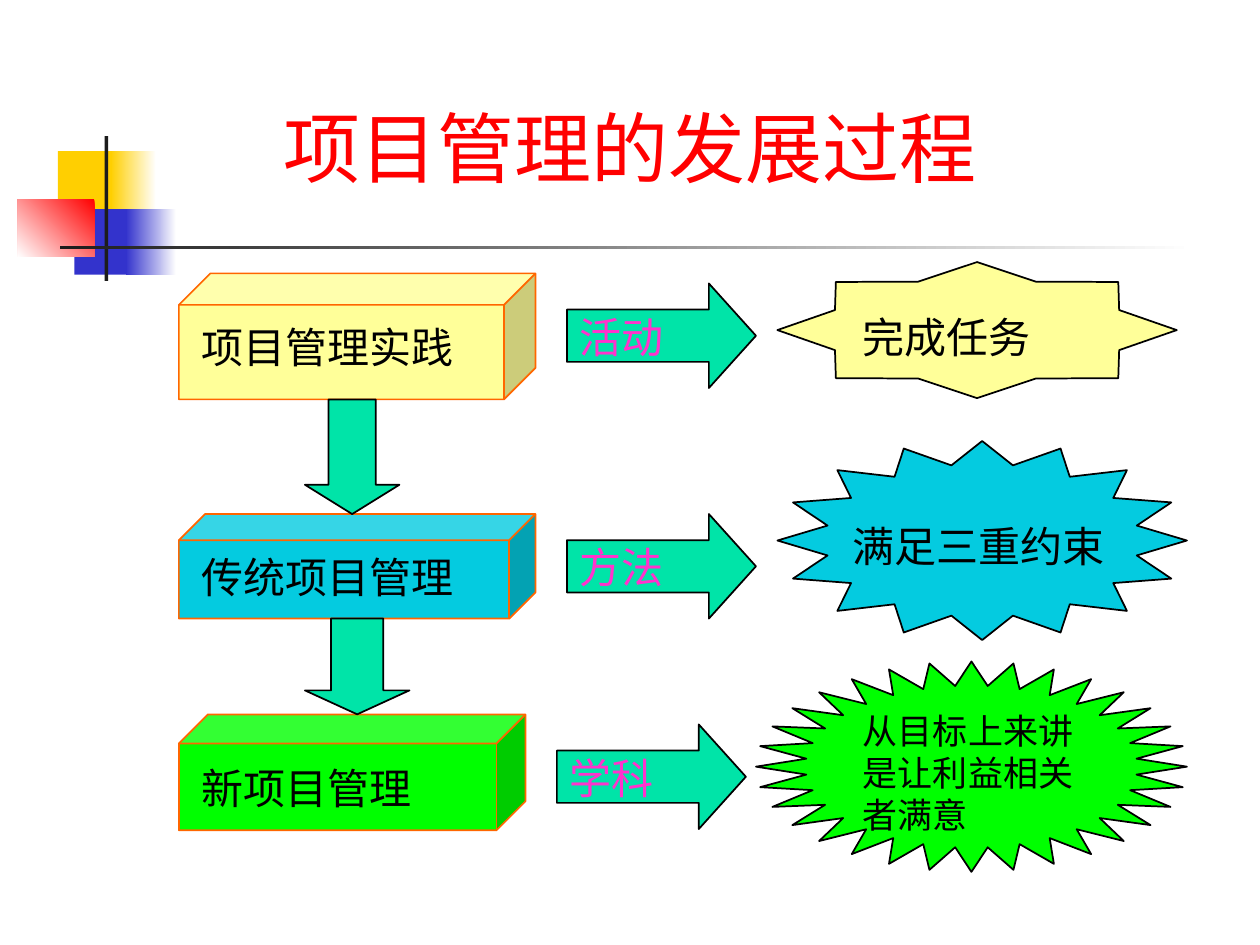
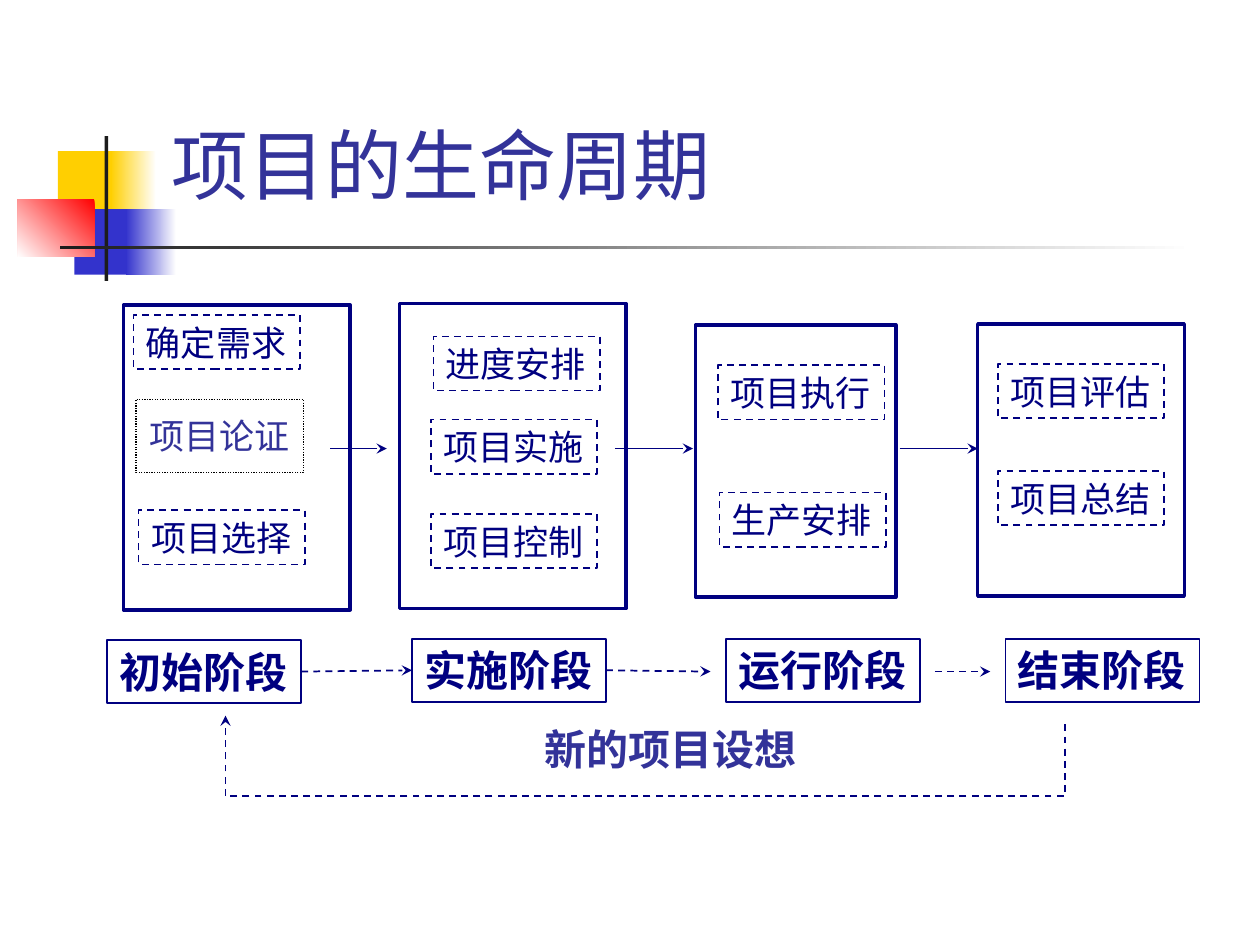
from dataclasses import dataclass
from math import cos, pi, sin

from pptx import Presentation
from pptx.dml.color import RGBColor
from pptx.enum.dml import MSO_LINE
from pptx.enum.shapes import MSO_CONNECTOR, MSO_SHAPE as Shape
from pptx.enum.text import MSO_ANCHOR as Anchor, MSO_AUTO_SIZE, PP_ALIGN as Align
from pptx.oxml.ns import qn
from pptx.util import Emu, Pt
from lxml.etree import SubElement

PX = 9144


@dataclass(frozen=True)
class Theme:
    """Colours, fonts and type sizes of the deck."""
    white: str = "FFFFFF"
    black: str = "000000"
    ink: str = "1C1C1C"
    gold: str = "FFCF01"
    blue: str = "3333CC"
    red: str = "FF0000"
    indigo: str = "333399"
    navy: str = "000080"
    cream: str = "FFFF99"
    cyan: str = "04CBE0"
    green: str = "00FF00"
    mint: str = "00E4A8"
    orange: str = "FF6600"
    pink: str = "FF33CC"
    heading: str = "Lato"
    body: str = "Times New Roman"
    title_size: int = 44
    label_size: int = 24
    task_size: int = 20


THEME = Theme()


@dataclass(frozen=True)
class Box:
    """A rectangle in px."""
    left: int
    top: int
    width: int
    height: int

    def inset(self, across, down, width, height):
        """Return a box offset from this one's top left corner."""
        return Box(self.left + across, self.top + down, width, height)

    def emu(self):
        """Return the four lengths in EMU."""
        return [Emu(n * PX) for n in (self.left, self.top, self.width, self.height)]


@dataclass(frozen=True)
class Step:
    """One row of the development chart."""
    name: str
    fill: str
    cube: Box
    name_drop: int
    method: str
    arrow: Box
    goal: str
    goal_size: int
    goal_box: Box
    star: Box
    points: int


@dataclass(frozen=True)
class Phase:
    """One phase of the life cycle with its tasks."""
    name: str
    stage: Box
    panel: Box
    tasks: tuple


def rgb(colour):
    """Turn a hex string into a colour."""
    return RGBColor.from_string(colour)


def style_line(line, colour, width=1, dash=None):
    """Set colour, width and dash of a line."""
    line.color.rgb = rgb(colour)
    line.width = Pt(width)
    if dash:
        line.dash_style = dash


def style_shape(shape, fill=None, line=None, width=1, dash=None):
    """Set shadow, fill and outline of a shape."""
    shape.shadow.inherit = False
    if fill:
        shape.fill.solid()
        shape.fill.fore_color.rgb = rgb(fill)
    else:
        shape.fill.background()
    if line:
        style_line(shape.line, line, width, dash)
    else:
        shape.line.fill.background()


def add_preset(page, kind, box, adjust=(), **style):
    """Add a preset shape to the page."""
    shape = page.shapes.add_shape(kind, *box.emu())
    for index, value in enumerate(adjust):
        shape.adjustments[index] = value
    style_shape(shape, **style)
    return shape


def add_fade(page, box, start, end, angle):
    """Add a rectangle with a linear gradient."""
    shape = add_preset(page, Shape.RECTANGLE, box)
    shape.fill.gradient()
    shape.fill.gradient_angle = angle
    for stop, colour in zip(shape.fill.gradient_stops, (start, end)):
        stop.color.rgb = rgb(colour)


def write(shape, text, size=THEME.label_size, colour=THEME.black, font=THEME.body,
          bold=False, align=Align.LEFT, anchor=Anchor.TOP, wrap=True):
    """Write formatted text into a shape."""
    frame = shape.text_frame
    frame.word_wrap = wrap
    frame.auto_size = MSO_AUTO_SIZE.NONE
    frame.vertical_anchor = anchor
    para = frame.paragraphs[0]
    para.alignment = align
    span = para.add_run()
    span.text = text
    span.font.size = Pt(size)
    span.font.name = font
    span.font.bold = bold
    span.font.color.rgb = rgb(colour)


def add_text(page, box, text, **style):
    """Add a text box to the page."""
    write(page.shapes.add_textbox(*box.emu()), text, **style)


def add_outline(page, points, close, **style):
    """Add a freeform through points given in px."""
    corners = [(round(x * PX), round(y * PX)) for x, y in points]
    builder = page.shapes.build_freeform(*corners[0])
    builder.add_line_segments(corners[1:], close=close)
    shape = builder.convert_to_shape()
    style_shape(shape, **style)
    return shape


def add_star(page, box, points, fill, inner=0.77):
    """Add a star whose tips lie on the ellipse inside the box."""
    corners = []
    for index in range(2 * points):
        angle = pi + index * pi / points
        reach = inner if index % 2 else 1
        corners.append((box.left + box.width / 2 * (1 + reach * cos(angle)),
                        box.top + box.height / 2 * (1 + reach * sin(angle))))
    add_outline(page, corners, True, fill=fill, line=THEME.black)


def add_arrowhead(shape):
    """Put a stealth head at the end of a line."""
    outline = shape._element.spPr.find(qn("a:ln"))
    SubElement(outline, qn("a:tailEnd"), type="stealth")


def add_arrow(page, start, end, dash=None, source=None, target=None):
    """Add an arrow, joined to the sides of the given boxes."""
    arrow = page.shapes.add_connector(
        MSO_CONNECTOR.STRAIGHT, *[Emu(n * PX) for n in (*start, *end)])
    if source is not None:
        arrow.begin_connect(source, 3)
    if target is not None:
        arrow.end_connect(target, 1)
    style_line(arrow.line, THEME.navy, dash=dash)
    add_arrowhead(arrow)
    SubElement(arrow._element.spPr, qn("a:effectLst"))


def add_emblem(page, box):
    """Draw the coloured squares and the crossing rules."""
    for across, down, solid, fade_across, fade, colour in (
            (32, 12, 48, 74, 36, THEME.gold), (45, 58, 46, 86, 40, THEME.blue)):
        add_preset(page, Shape.RECTANGLE, box.inset(across, down, solid, 52), fill=colour)
        add_fade(page, box.inset(fade_across, down, fade, 52), THEME.white, colour, 180)
    add_fade(page, box.inset(0, 50, 61, 46), THEME.red, THEME.white, 225)
    add_preset(page, Shape.RECTANGLE, box.inset(69, 0, 3, 115), fill=THEME.ink)
    add_fade(page, box.inset(34, 87, 900, 3), THEME.white, THEME.ink, 180)


def add_page(deck, title, box, **style):
    """Add a page with the emblem and a title."""
    page = deck.slides.add_slide(deck.slide_layouts[6])
    add_emblem(page, Box(14, 108, 934, 115))
    add_text(page, box, title, size=THEME.title_size, font=THEME.heading, **style)
    return page


def add_step(page, step):
    """Draw a cube, its method arrow and its goal star."""
    add_preset(page, Shape.CUBE, step.cube, (0.25,), fill=step.fill, line=THEME.orange)
    add_text(page, step.cube.inset(8, step.name_drop, 242, 50), step.name)
    add_preset(page, Shape.RIGHT_ARROW, step.arrow, (0.5, 0.45),
               fill=THEME.mint, line=THEME.black)
    add_text(page, step.arrow.inset(0, 17, 117, 50), step.method, colour=THEME.pink)
    add_star(page, step.star, step.points, step.fill)
    add_text(page, step.goal_box, step.goal, size=step.goal_size)


def development_page(deck):
    """Build the page on how project management developed."""
    page = add_page(deck, "项目管理的发展过程", Box(75, 33, 850, 125), colour=THEME.red,
                    align=Align.CENTER, anchor=Anchor.BOTTOM)
    steps = (
        Step("项目管理实践", THEME.cream, Box(142, 217, 283, 100), 33,
             "活动", Box(450, 225, 150, 83),
             "完成任务", THEME.label_size, Box(675, 242, 208, 50), Box(617, 208, 317, 108), 8),
        Step("传统项目管理", THEME.cyan, Box(142, 408, 283, 83), 25,
             "方法", Box(450, 408, 150, 83),
             "满足三重约束", THEME.label_size, Box(667, 408, 250, 50), Box(617, 350, 325, 158), 16),
        Step("新项目管理", THEME.green, Box(142, 567, 275, 92), 33,
             "学科", Box(442, 575, 150, 83),
             "从目标上来讲是让利益相关者满意", THEME.task_size,
             Box(675, 558, 192, 110), Box(600, 525, 342, 167), 32),
    )
    for step in steps:
        add_step(page, step)
    for upper, lower, width, head in zip(steps, steps[1:], (75, 83), (0.31, 0.25)):
        bottom = upper.cube.top + upper.cube.height
        add_preset(page, Shape.DOWN_ARROW, Box(242, bottom, width, lower.cube.top - bottom),
                   (0.5, head), fill=THEME.mint, line=THEME.black)


def add_phase(page, phase):
    """Draw a panel with its tasks and return the stage box below."""
    add_preset(page, Shape.RECTANGLE, phase.panel, line=THEME.navy, width=2)
    for text, across, down in phase.tasks:
        task = add_preset(page, Shape.RECTANGLE, phase.panel.inset(across, down, 132, 43),
                          line=THEME.navy, dash=MSO_LINE.DASH)
        write(task, text, size=THEME.task_size, colour=THEME.navy, wrap=False)
    stage = add_preset(page, Shape.RECTANGLE, phase.stage, line=THEME.navy)
    write(stage, phase.name, colour=THEME.navy, bold=True, wrap=False)
    return stage


def add_feedback(page, box):
    """Draw the dashed return path and its caption."""
    right, bottom = box.left + box.width, box.top + box.height
    route = add_outline(
        page, [(right, box.top + 7), (right, bottom), (box.left, bottom), (box.left, box.top)],
        False, line=THEME.navy, dash=MSO_LINE.DASH)
    add_arrowhead(route)
    add_text(page, box.inset(243, 1, 220, 50), "新的项目设想", font=THEME.heading,
             colour=THEME.indigo, bold=True, wrap=False)


def life_cycle_page(deck):
    """Build the page on the project life cycle."""
    page = add_page(deck, "项目的生命周期", Box(126, 67, 852, 125), colour=THEME.indigo,
                    anchor=Anchor.MIDDLE)
    phases = (
        Phase("初始阶段", Box(85, 508, 154, 50), Box(98, 242, 180, 242),
              (("确定需求", 8, 8), ("项目选择", 12, 163))),
        Phase("实施阶段", Box(327, 507, 154, 50), Box(317, 241, 180, 242),
              (("进度安排", 27, 26), ("项目实施", 25, 92), ("项目控制", 25, 167))),
        Phase("运行阶段", Box(576, 507, 154, 50), Box(552, 258, 159, 216),
              (("项目执行", 18, 32), ("生产安排", 19, 133))),
        Phase("结束阶段", Box(798, 507, 154, 50), Box(776, 257, 164, 216),
              (("项目评估", 16, 32), ("项目总结", 16, 117))),
    )
    stages = [add_phase(page, phase) for phase in phases]
    proof = add_preset(page, Shape.RECTANGLE, phases[0].panel.inset(10, 75, 133, 58),
                       fill=THEME.white, line=THEME.black, width=0.75, dash=MSO_LINE.ROUND_DOT)
    write(proof, "项目论证", size=THEME.task_size, font=THEME.heading, colour=THEME.indigo,
          align=Align.CENTER, anchor=Anchor.MIDDLE, wrap=False)
    for start, end in ((262, 307), (488, 550), (714, 776)):
        add_arrow(page, (start, 356), (end, 356))
    for start, end, source, target in ((242, 323, stages[0], stages[1]),
                                       (483, 564, stages[1], None), (742, 786, None, None)):
        add_arrow(page, (start, 533), (end, 533), MSO_LINE.DASH, source, target)
    add_feedback(page, Box(179, 568, 666, 64))


def main():
    """Build and save the deck."""
    deck = Presentation()
    deck.slide_width, deck.slide_height = Emu(1000 * PX), Emu(750 * PX)
    development_page(deck)
    life_cycle_page(deck)
    deck.save("out.pptx")


if __name__ == "__main__":
    main()
